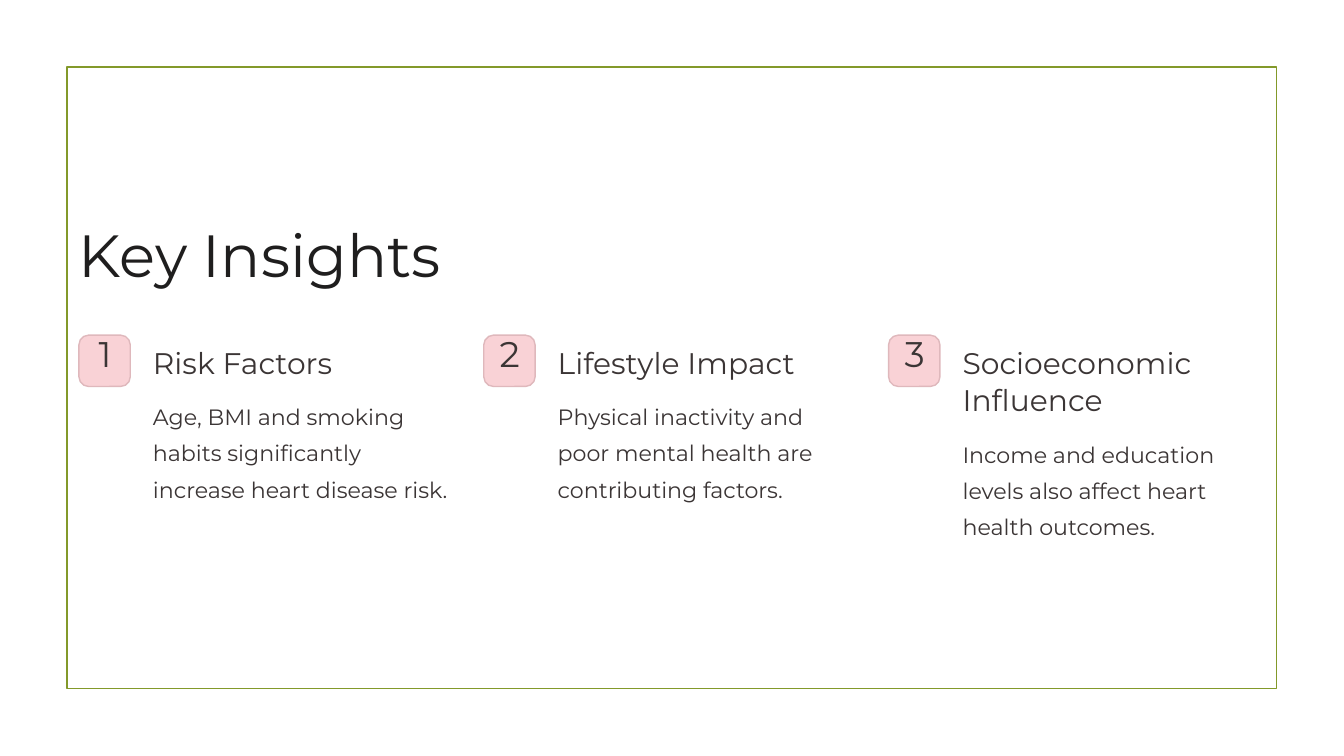
from pptx import Presentation
from pptx.dml.color import RGBColor
from pptx.enum.shapes import MSO_SHAPE
from pptx.enum.text import PP_ALIGN
from pptx.util import Pt

RECT = MSO_SHAPE.RECTANGLE
ROUNDED = MSO_SHAPE.ROUNDED_RECTANGLE
LEFT, CENTER = PP_ALIGN.LEFT, PP_ALIGN.CENTER

FONT = "Montserrat"
GREEN = RGBColor(0x83, 0x99, 0x2A)
PINK = RGBColor(0xF9, 0xD2, 0xD6)
ROSE = RGBColor(0xDF, 0xB8, 0xBC)
BLACK = RGBColor(0x1F, 0x1E, 0x1E)
GREY = RGBColor(0x3B, 0x35, 0x35)

MARGIN = 67.7
COLUMN_PITCH = 347
HEADING_LINE = 32

# Heading, number of heading lines, body
INSIGHTS = [
    ("Risk Factors", 1,
     "Age, BMI and smoking habits significantly increase heart disease risk."),
    ("Lifestyle Impact", 1,
     "Physical inactivity and poor mental health are contributing factors."),
    ("Socioeconomic Influence", 2,
     "Income and education levels also affect heart health outcomes."),
]


def add_box(s, kind, x, y, w, h, line, weight, fill=None):
    sp = s.shapes.add_shape(kind, Pt(x), Pt(y), Pt(w), Pt(h))
    sp.shadow.inherit = False
    if fill is None:
        sp.fill.background()
    else:
        sp.fill.solid()
        sp.fill.fore_color.rgb = fill
    sp.line.color.rgb = line
    sp.line.width = Pt(weight)
    return sp


def add_text(s, text, x, y, w, h, size, spacing, color=GREY, align=LEFT):
    tf = s.shapes.add_textbox(Pt(x), Pt(y), Pt(w), Pt(h)).text_frame
    tf.margin_left = tf.margin_top = tf.margin_right = tf.margin_bottom = 0
    tf.word_wrap = True
    tf.text = text
    p = tf.paragraphs[0]
    p.alignment = align
    p.line_spacing = Pt(spacing)
    font = p.runs[0].font
    font.name = FONT
    font.size = Pt(size)
    font.color.rgb = color


def add_insight(s, number, x, heading, heading_lines, body):
    # Numbered badge
    badge = add_box(s, ROUNDED, x, 287.3, 44, 44, ROSE, 1.2, PINK)
    badge.adjustments[0] = 0.187
    add_text(s, str(number), x + 6.8, 290.2, 31, 38, 30.5, 30.5, align=CENTER)

    # Heading, with the body below its last line
    text_x = x + 63.4
    add_text(s, heading, text_x, 294.5, 259.2, HEADING_LINE * heading_lines,
             25.5, 31.5)
    body_y = 337.7 + HEADING_LINE * (heading_lines - 1)
    add_text(s, body, text_x, body_y, 259.2, 93.6, 19, 31)


def main():
    prs = Presentation()
    prs.slide_width, prs.slide_height = Pt(1152), Pt(648)
    s = prs.slides.add_slide(prs.slide_layouts[6])

    # Frame and title
    add_box(s, RECT, 57.6, 57.6, 1036.8, 532.8, GREEN, 1.25)
    add_text(s, "Key Insights", MARGIN, 185, 512, 64, 51, 63.5, BLACK)

    # Three columns
    for i, insight in enumerate(INSIGHTS):
        add_insight(s, i + 1, MARGIN + i * COLUMN_PITCH, *insight)

    prs.save("out.pptx")


if __name__ == "__main__":
    main()
